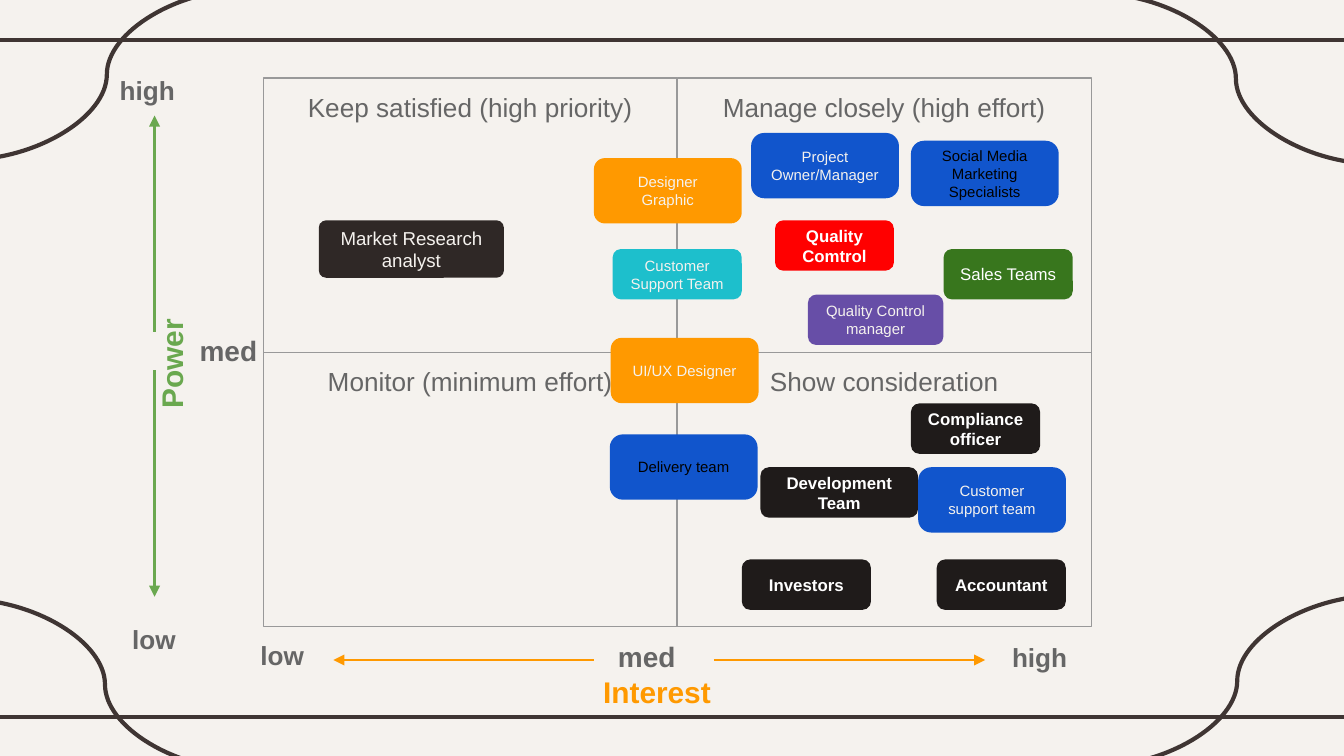
from lxml.etree import SubElement
from pptx import Presentation
from pptx.dml.color import RGBColor
from pptx.enum.shapes import MSO_CONNECTOR as Link, MSO_SHAPE as Shape
from pptx.enum.text import MSO_ANCHOR as Anchor, PP_ALIGN as Align
from pptx.oxml.ns import qn
from pptx.util import Pt

COLORS = {
    "paper": "F5F2EE", "frame": "3F3533", "grid": "999999", "grey": "666666",
    "green": "6AA84F", "orange": "FF9900", "red": "FF0000", "blue": "1155CC",
    "forest": "38761D", "purple": "674EA7", "teal": "1DBFCC", "brown": "2F2826",
    "ink": "1F1B1A", "white": "FFFFFF", "black": "000000",
}

FRAME_LINES = [
    (Link.STRAIGHT, -6, 21.4, 726, 21.4),
    (Link.STRAIGHT, -6, 384, 726, 384),
    (Link.CURVE, -19.5, 321, 132, 412.5),
    (Link.CURVE, 586.2, -3.6, 738, 87.9),
    (Link.CURVE, 738.7, 319, 587, 410.5),
    (Link.CURVE, 133.2, -5.8, -18.7, 85.7),
]

QUADRANTS = [
    ["Keep satisfied (high priority)", "Manage closely (high effort)"],
    ["Monitor (minimum effort)", "Show consideration"],
]
GRID_LEFT, GRID_TOP, QUAD_W, QUAD_H = 141, 41.8, 221.8, 147

AXIS_ARROWS = [
    ("green", 82.8, 177.8, 82.8, 61.9),
    ("green", 82.8, 198.5, 82.8, 319.7),
    ("orange", 382.5, 353.6, 527.8, 353.6),
    ("orange", 318.2, 353.6, 178.6, 353.6),
]

AXIS_LABELS = [
    ("high", 5, 32.4, 95.8, 18.7, 14, "grey", Align.RIGHT),
    ("low", 74.2, 335.5, 95.8, 18.7, 14, "grey", Align.RIGHT),
    ("high", 520.6, 336.2, 72.7, 27, 14, "grey", Align.CENTER),
    ("low", 46.1, 326.9, 72.7, 27, 14, "grey", Align.CENTER),
    ("med", 306.9, 335.5, 79.2, 27, 15, "grey", Align.CENTER),
    ("med", 82.8, 171.4, 79.2, 27, 15, "grey", Align.CENTER),
    ("Interest", 312.4, 353.5, 79.2, 34, 16, "orange", Align.CENTER),
]
POWER_LABEL = ("Power", 59, 187.2, 65.5, 18.7, 16, "green", Align.RIGHT)

LARGE, SMALL = (79.2, 35), (69.2, 27)
SOFT, ROUND = 0.167, 0.2
STAKEHOLDERS = [
    ("Quality Comtrol", 415.2, 118, (63.7, 27), SOFT, "red", "white", 9, True),
    ("Designer Graphic", 318.2, 84.7, LARGE, SOFT, "orange", "paper", 8, False),
    ("Project Owner/Manager", 402.4, 71.2, LARGE, ROUND, "blue", "paper", 8, False),
    ("Sales Teams", 505.5, 133.4, SMALL, SOFT, "forest", "white", 9, False),
    ("Quality Control manager", 432.8, 157.8, (72.6, 27), SOFT, "purple", "paper", 8, False),
    ("Customer Support Team", 328.2, 133.4, SMALL, SOFT, "teal", "paper", 8, False),
    ("Market Research analyst", 170.8, 118, (99.2, 30.8), 0.13, "brown", "paper", 10, False),
    ("Accountant", 501.8, 299.7, SMALL, SOFT, "ink", "white", 9, True),
    ("UI/UX Designer", 327.2, 181, LARGE, SOFT, "orange", "paper", 8, False),
    ("Social Media Marketing Specialists", 488, 75.4, LARGE, ROUND, "blue", "black", 8, False),
    ("Customer support team", 491.9, 250.3, LARGE, ROUND, "blue", "paper", 8, False),
    ("Delivery team", 326.7, 232.7, LARGE, ROUND, "blue", "black", 8, False),
    ("Development Team", 407.4, 250.3, (84.4, 27), SOFT, "ink", "white", 9, True),
    ("Compliance officer", 488, 216.1, SMALL, SOFT, "ink", "white", 9, True),
    ("Investors", 397.4, 299.7, SMALL, SOFT, "ink", "white", 9, True),
]


def rgb(name):
    return RGBColor.from_string(COLORS[name])


def write(shape, text, size, color, bold=False, align=Align.CENTER, anchor=Anchor.TOP):
    frame = shape.text_frame
    frame.word_wrap = True
    frame.vertical_anchor = anchor
    frame.margin_left = frame.margin_right = Pt(7.2)
    frame.margin_top = frame.margin_bottom = Pt(7.2)
    paragraph = frame.paragraphs[0]
    paragraph.alignment = align
    run = paragraph.add_run()
    run.text = text
    run.font.name, run.font.size, run.font.bold = "Arial", Pt(size), bold
    run.font.color.rgb = rgb(color)


def add_line(shapes, kind, ends, color, width, arrow=False):
    line = shapes.add_connector(kind, *map(Pt, ends))
    line.line.color.rgb = rgb(color)
    line.line.width = Pt(width)
    if arrow:
        SubElement(line.line._get_or_add_ln(), qn("a:tailEnd"), type="triangle")
    SubElement(line._element.spPr, qn("a:effectLst"))


def add_quadrant(shapes, title, left, top):
    quadrant = shapes.add_shape(Shape.RECTANGLE, *map(Pt, (left, top, QUAD_W, QUAD_H)))
    quadrant.shadow.inherit = False
    quadrant.fill.background()
    quadrant.line.color.rgb = rgb("grid")
    quadrant.line.width = Pt(0.75)
    write(quadrant, title, 14, "grey")


def add_label(shapes, text, left, top, width, height, size, color, align, anchor=Anchor.TOP):
    label = shapes.add_textbox(*map(Pt, (left, top, width, height)))
    write(label, text, size, color, bold=True, align=align, anchor=anchor)
    return label


def add_stakeholder(shapes, role, left, top, extent, corner, fill, color, size, bold):
    card = shapes.add_shape(Shape.ROUNDED_RECTANGLE, *map(Pt, (left, top, *extent)))
    card.adjustments[0] = corner
    card.shadow.inherit = False
    card.fill.solid()
    card.fill.fore_color.rgb = rgb(fill)
    card.line.fill.background()
    write(card, role, size, color, bold=bold, anchor=Anchor.MIDDLE)


def main():
    deck = Presentation()
    deck.slide_width, deck.slide_height = Pt(720), Pt(405)
    slide = deck.slides.add_slide(deck.slide_layouts[6])
    slide.background.fill.solid()
    slide.background.fill.fore_color.rgb = rgb("paper")
    shapes = slide.shapes

    for kind, *ends in FRAME_LINES:
        add_line(shapes, kind, ends, "frame", 2.25)
    for row, titles in enumerate(QUADRANTS):
        for column, title in enumerate(titles):
            add_quadrant(shapes, title, GRID_LEFT + column * QUAD_W, GRID_TOP + row * QUAD_H)
    for color, *ends in AXIS_ARROWS:
        add_line(shapes, Link.STRAIGHT, ends, color, 1.5, arrow=True)
    for label in AXIS_LABELS:
        add_label(shapes, *label)
    add_label(shapes, *POWER_LABEL, anchor=Anchor.MIDDLE).rotation = 270
    for stakeholder in STAKEHOLDERS:
        add_stakeholder(shapes, *stakeholder)

    deck.save("out.pptx")


if __name__ == "__main__":
    main()
